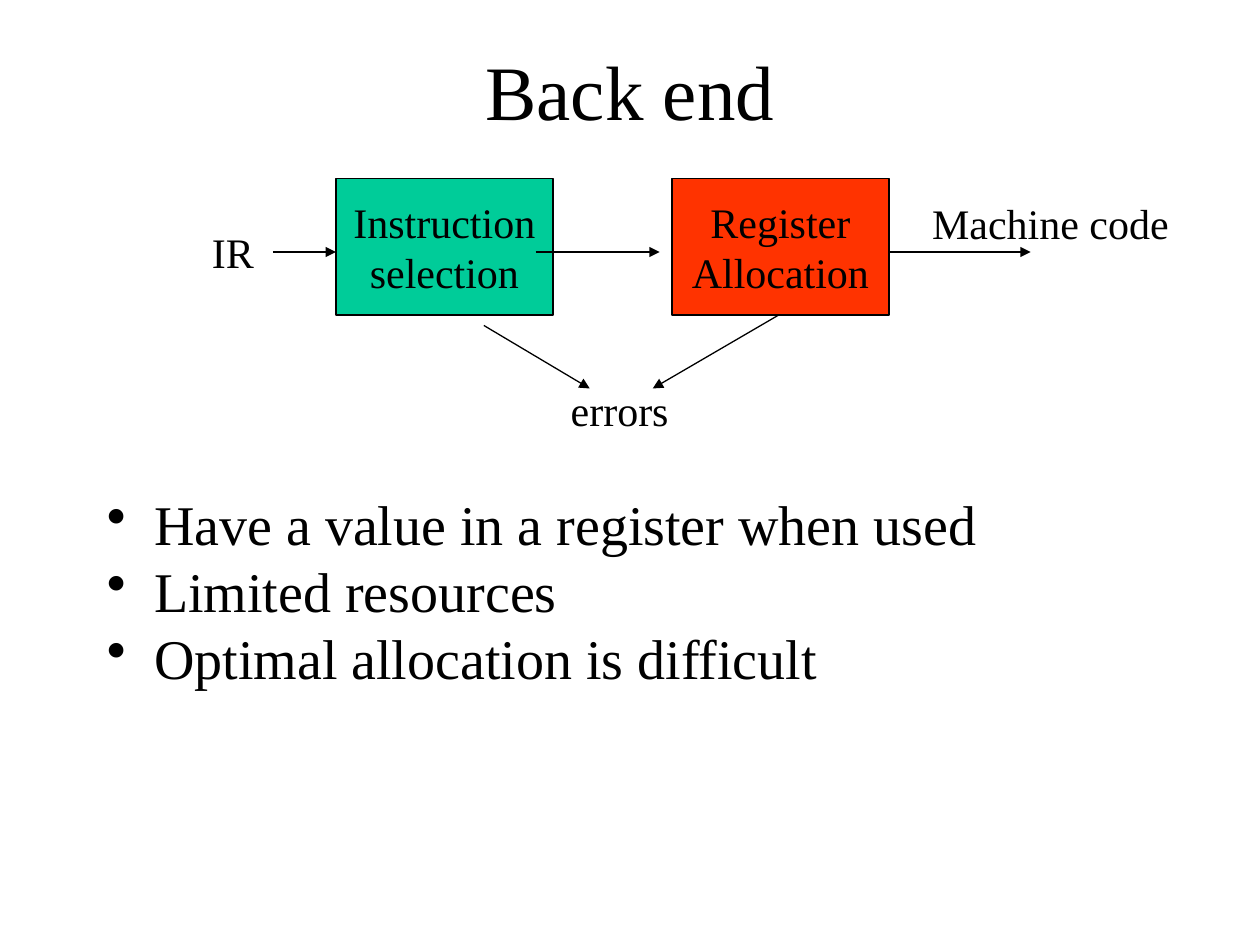
import pptx
import pptx.util
import pptx.dml.color
import pptx.enum.shapes
import pptx.enum.text
import pptx.oxml.ns
from lxml import etree

Pt = pptx.util.Pt
CENTER = pptx.enum.text.PP_ALIGN.CENTER
MIDDLE = pptx.enum.text.MSO_ANCHOR.MIDDLE


def rgb(hex_code):
    return pptx.dml.color.RGBColor.from_string(hex_code)


def add_element(parent, tag, **attributes):
    return etree.SubElement(parent, pptx.oxml.ns.qn(tag), **attributes)


class Deck:
    font = "Times New Roman"
    ink = "000000"
    label_size = 24

    def __init__(self, width, height):
        self.presentation = pptx.Presentation()
        self.presentation.slide_width = Pt(width)
        self.presentation.slide_height = Pt(height)
        self.slide = self.presentation.slides.add_slide(self.presentation.slide_layouts[5])

    def add_lines(self, shape, lines, size, align=None, anchor=None, bulleted=False, wrap=True):
        frame = shape.text_frame
        frame.word_wrap = wrap
        frame.auto_size = pptx.enum.text.MSO_AUTO_SIZE.NONE
        frame.vertical_anchor = anchor
        for index, line in enumerate(lines):
            paragraph = frame.add_paragraph() if index else frame.paragraphs[0]
            paragraph.alignment = align
            if bulleted:
                properties = paragraph._p.get_or_add_pPr()
                properties.set("marL", str(Pt(27)))
                properties.set("indent", str(Pt(-27)))
                add_element(properties, "a:buChar", char="•")
            run = paragraph.add_run()
            run.text = line
            run.font.name = self.font
            run.font.size = Pt(size)
            run.font.color.rgb = rgb(self.ink)

    def title(self, text, left, top, width, height):
        title = self.slide.shapes.title
        title.left, title.top, title.width, title.height = map(Pt, (left, top, width, height))
        self.add_lines(title, [text], 44, CENTER, MIDDLE)

    def bullets(self, lines, left, top, width, height):
        body = self.slide.shapes.add_textbox(*map(Pt, (left, top, width, height)))
        self.add_lines(body, lines, 32, bulleted=True)

    def label(self, text, left, top, width):
        label = self.slide.shapes.add_textbox(*map(Pt, (left, top, width, 36)))
        self.add_lines(label, [text], self.label_size, wrap=False)

    def stage(self, lines, fill, left, top, width, height):
        stage = self.slide.shapes.add_shape(
            pptx.enum.shapes.MSO_SHAPE.RECTANGLE, *map(Pt, (left, top, width, height)))
        stage.shadow.inherit = False
        stage.fill.solid()
        stage.fill.fore_color.rgb = rgb(fill)
        stage.line.color.rgb = rgb(self.ink)
        stage.line.width = Pt(0.75)
        self.add_lines(stage, lines, self.label_size, CENTER, MIDDLE)

    def arrow(self, x1, y1, x2, y2):
        arrow = self.slide.shapes.add_connector(
            pptx.enum.shapes.MSO_CONNECTOR.STRAIGHT, *map(Pt, (x1, y1, x2, y2)))
        arrow.line.color.rgb = rgb(self.ink)
        arrow.line.width = Pt(0.75)
        add_element(arrow.line._get_or_add_ln(), "a:tailEnd", type="triangle")
        add_element(arrow._element.spPr, "a:effectLst")


def main():
    deck = Deck(720, 540)
    deck.title("Back end", 54, 6, 612, 90)
    deck.bullets(
        ["Have a value in a register when used", "Limited resources",
         "Optimal allocation is difficult"], 54, 276, 612, 204)

    stage_top, stage_width, stage_height = 102, 124, 78
    for lines, fill, left in (
        (["Instruction", "selection"], "00CC99", 192),
        (["Register", "Allocation"], "FF3300", 384),
    ):
        deck.stage(lines, fill, left, stage_top, stage_width, stage_height)

    flow_y = 144
    for start, end in ((156, 192), (306, 377), (508, 589)):
        deck.arrow(start, flow_y, end, flow_y)

    error_y = 222
    deck.arrow(276.5, 186, 337, error_y)
    deck.arrow(445, stage_top + stage_height, 373, error_y)

    for text, left, top, width in (
        ("IR", 114, 126, 38),
        ("Machine code", 525.6, 109.5, 150),
        ("errors", 319, 216, 70.5),
    ):
        deck.label(text, left, top, width)

    deck.presentation.save("out.pptx")


if __name__ == "__main__":
    main()
